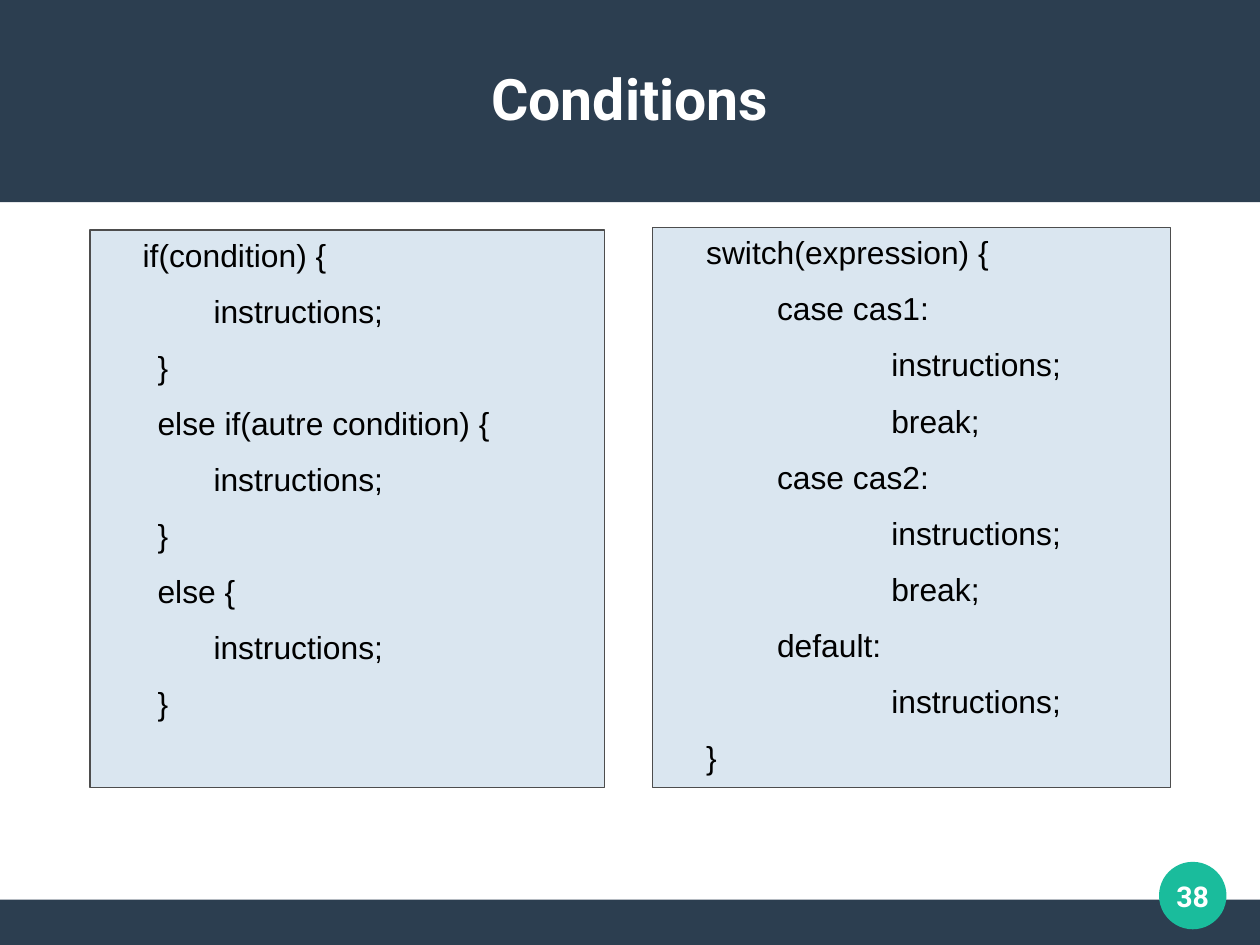
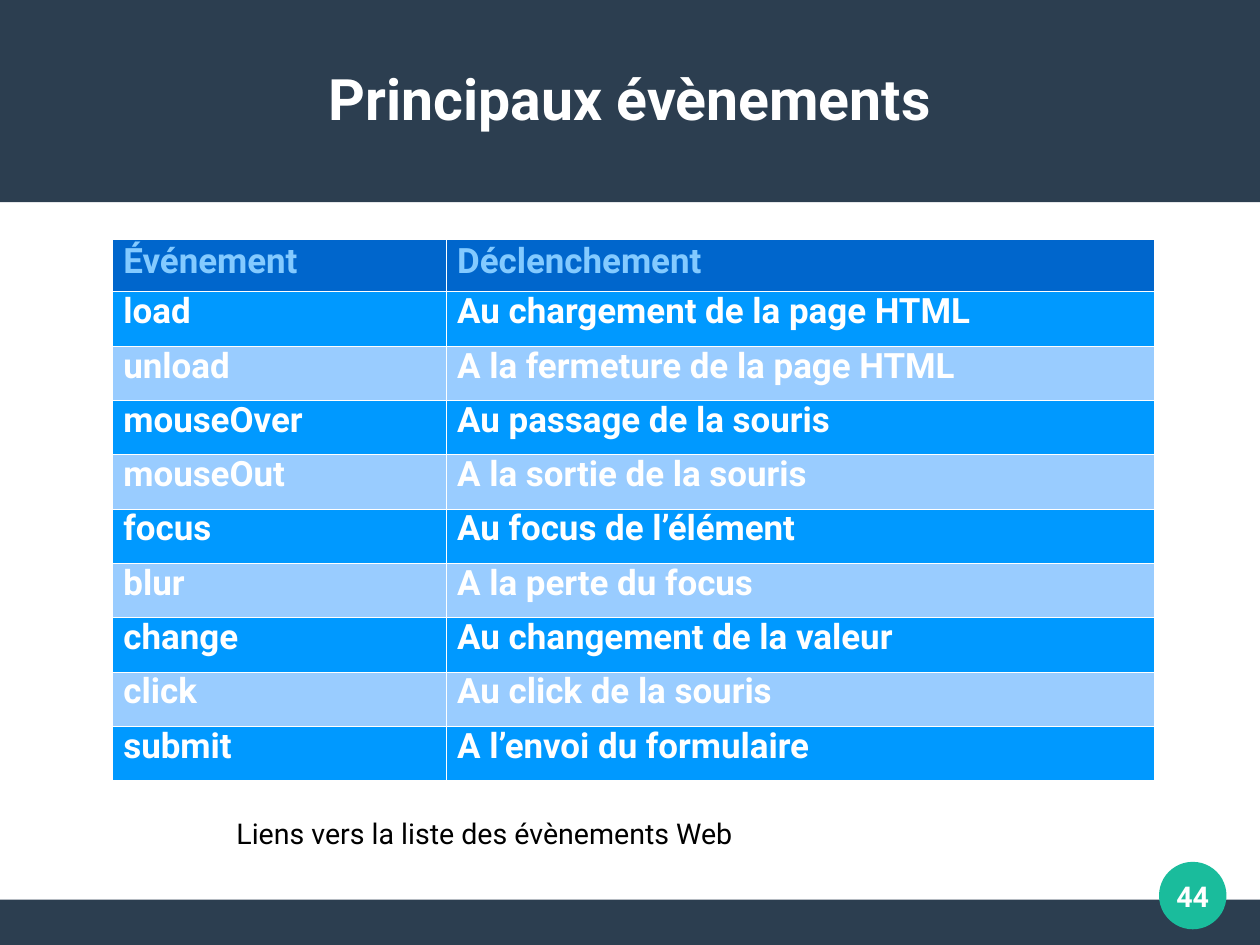
from dataclasses import dataclass
from typing import Any

from lxml import etree
from pptx import Presentation
from pptx.dml.color import RGBColor
from pptx.enum import shapes, text
from pptx.oxml import ns
from pptx.util import Inches, Pt

NAVY = RGBColor(0x2C, 0x3E, 0x50)
TEAL = RGBColor(0x1A, 0xBC, 0x9C)
WHITE = RGBColor(0xFF, 0xFF, 0xFF)
BLACK = RGBColor(0, 0, 0)
PALE = RGBColor(0xDA, 0xE6, 0xF0)
GREY = RGBColor(0x4D, 0x4D, 0x4D)
HEAD = RGBColor(0x00, 0x66, 0xCC)
SKY = RGBColor(0x83, 0xCA, 0xFF)
BANDS = (RGBColor(0x00, 0x99, 0xFF), RGBColor(0x99, 0xCC, 0xFF))

# The page measures 28 by 21 cm.
WIDE, HIGH = 28 / 2.54, 21 / 2.54
RECT = shapes.MSO_SHAPE.RECTANGLE
OVAL = shapes.MSO_SHAPE.OVAL
MID = text.MSO_ANCHOR.MIDDLE
TOP = text.MSO_ANCHOR.TOP
LEFT = text.PP_ALIGN.LEFT
CENTER = text.PP_ALIGN.CENTER

TITLE = {"name": "Roboto", "size": Pt(36), "bold": True}
BADGE = {"name": "Roboto", "size": Pt(18), "bold": True}
NOTE = {"name": "Roboto", "size": Pt(18), "bold": False}
CODE = {"name": "Arial", "size": Pt(20), "bold": False}
CELL = {"name": "Roboto", "size": Pt(22), "bold": True}
BARE = {"margin_left": 0, "margin_right": 0, "margin_top": 0,
        "margin_bottom": 0, "vertical_anchor": MID, "word_wrap": True}
OPEN = {"vertical_anchor": TOP, "word_wrap": True}


@dataclass(frozen=True)
class Box:
    left: float
    top: float
    width: float
    height: float

    def place(self) -> tuple[Inches, ...]:
        return tuple(Inches(v) for v in
                     (self.left, self.top, self.width, self.height))


@dataclass(frozen=True)
class Line:
    indent: float
    code: str


@dataclass(frozen=True)
class Panel:
    box: Box
    lines: tuple[Line, ...]


@dataclass(frozen=True)
class Event:
    name: str
    cause: str


BODY = Line(0.98, "instructions;")
CLOSE = Line(0.49, "}")
STEP = Line(1.99, "instructions;")
BREAK = Line(1.99, "break;")

PANELS = (
    Panel(Box(0.79, 2.01, 4.5, 4.88), (
        Line(0.36, "if(condition) {"), BODY, CLOSE,
        Line(0.49, "else if(autre condition) {"), BODY, CLOSE,
        Line(0.49, "else {"), BODY, CLOSE)),
    Panel(Box(5.71, 1.99, 4.53, 4.9), (
        Line(0.37, "switch(expression) {"),
        Line(0.99, "case cas1:"), STEP, BREAK,
        Line(0.99, "case cas2:"), STEP, BREAK,
        Line(0.99, "default:"), STEP,
        Line(0.37, "}"))),
)

EVENTS = (
    Event("Événement", "Déclenchement"),
    Event("load", "Au chargement de la page HTML"),
    Event("unload", "A la fermeture de la page HTML"),
    Event("mouseOver", "Au passage de la souris"),
    Event("mouseOut", "A la sortie de la souris"),
    Event("focus", "Au focus de l’élément"),
    Event("blur", "A la perte du focus"),
    Event("change", "Au changement de la valeur"),
    Event("click", "Au click de la souris"),
    Event("submit", "A l’envoi du formulaire"),
)
GRID = Box(0.98, 2.09, 9.12, 4.74)
COLS = (2.92, 6.2)
FIRST = 0.46


def adjust(item: Any, form: dict[str, Any]) -> None:
    for key, value in form.items():
        setattr(item, key, value)


def write(para: Any, words: str, form: dict[str, Any], color: RGBColor,
          align: Any = LEFT) -> None:
    run = para.add_run()
    run.text = words
    adjust(run.font, form)
    run.font.color.rgb = color
    para.alignment = align


def shape(slide: Any, kind: Any, box: Box, fill: RGBColor) -> Any:
    """Add a flat shape with no outline."""
    item = slide.shapes.add_shape(kind, *box.place())
    item.shadow.inherit = False
    item.fill.solid()
    item.fill.fore_color.rgb = fill
    item.line.fill.background()
    return item


def label(slide: Any, box: Box, words: str, frame: dict[str, Any],
          form: dict[str, Any], color: RGBColor, align: Any) -> None:
    item = slide.shapes.add_textbox(*box.place()).text_frame
    adjust(item, frame)
    write(item.paragraphs[0], words, form, color, align)


def start(deck: Any, title: str, page: int) -> Any:
    """Add a slide with its bands, title and page badge."""
    slide = deck.slides.add_slide(deck.slide_layouts[6])
    shape(slide, RECT, Box(0, 7.87, WIDE, HIGH - 7.87), NAVY)
    shape(slide, RECT, Box(0, 0, WIDE, 1.77), NAVY)
    shape(slide, OVAL, Box(10.14, 7.54, 0.59, 0.59), TEAL)
    label(slide, Box(0.39, 0.33, 10.24, 1.05), title, BARE, TITLE, WHITE,
          CENTER)
    label(slide, Box(10.04, 7.44, 0.79, 0.79), str(page), BARE, BADGE, WHITE,
          CENTER)
    return slide


def listing(slide: Any, panel: Panel) -> None:
    """Draw a framed panel of indented code."""
    item = shape(slide, RECT, panel.box, PALE)
    item.line.color.rgb = GREY
    item.line.width = Pt(1)
    frame = item.text_frame
    adjust(frame, OPEN)
    for i, line in enumerate(panel.lines):
        para = frame.add_paragraph() if i else frame.paragraphs[0]
        write(para, line.code, CODE, BLACK)
        adjust(para, {"space_before": Pt(4.5 if i else 0),
                      "space_after": Pt(6.8)})
        props = para._p.get_or_add_pPr()
        props.set("marL", str(Inches(line.indent)))
        props.set("indent", "0")


def border(cell: Any) -> None:
    """Give a cell hairline white edges."""
    props = cell._tc.get_or_add_tcPr()
    for i, side in enumerate(("lnL", "lnR", "lnT", "lnB")):
        edge = etree.Element(ns.qn(f"a:{side}"), w=str(Pt(0.06)))
        fill = etree.SubElement(edge, ns.qn("a:solidFill"))
        etree.SubElement(fill, ns.qn("a:srgbClr"), val=str(WHITE))
        props.insert(i, edge)


def table(slide: Any) -> None:
    grid = slide.shapes.add_table(len(EVENTS), len(COLS), *GRID.place()).table
    for col, width in zip(grid.columns, COLS):
        col.width = Inches(width)
    rest = (GRID.height - FIRST) / (len(EVENTS) - 1)
    for i, event in enumerate(EVENTS):
        grid.rows[i].height = Inches(rest if i else FIRST)
        fill = BANDS[(i - 1) % 2] if i else HEAD
        for j, words in enumerate((event.name, event.cause)):
            cell = grid.cell(i, j)
            cell.fill.solid()
            cell.fill.fore_color.rgb = fill
            border(cell)
            para = cell.text_frame.paragraphs[0]
            write(para, words, CELL, WHITE if i else SKY)
            para.line_spacing = 0.81 if i else 0.87


def main() -> None:
    deck = Presentation()
    deck.slide_width, deck.slide_height = Inches(WIDE), Inches(HIGH)

    slide = start(deck, "Conditions", 38)
    for panel in PANELS:
        listing(slide, panel)

    slide = start(deck, "Principaux évènements", 44)
    table(slide)
    label(slide, Box(1.97, 7.09, 7.48, 0.59),
          "Liens vers la liste des évènements Web", OPEN, NOTE, BLACK, LEFT)

    deck.save("out.pptx")


if __name__ == "__main__":
    main()
